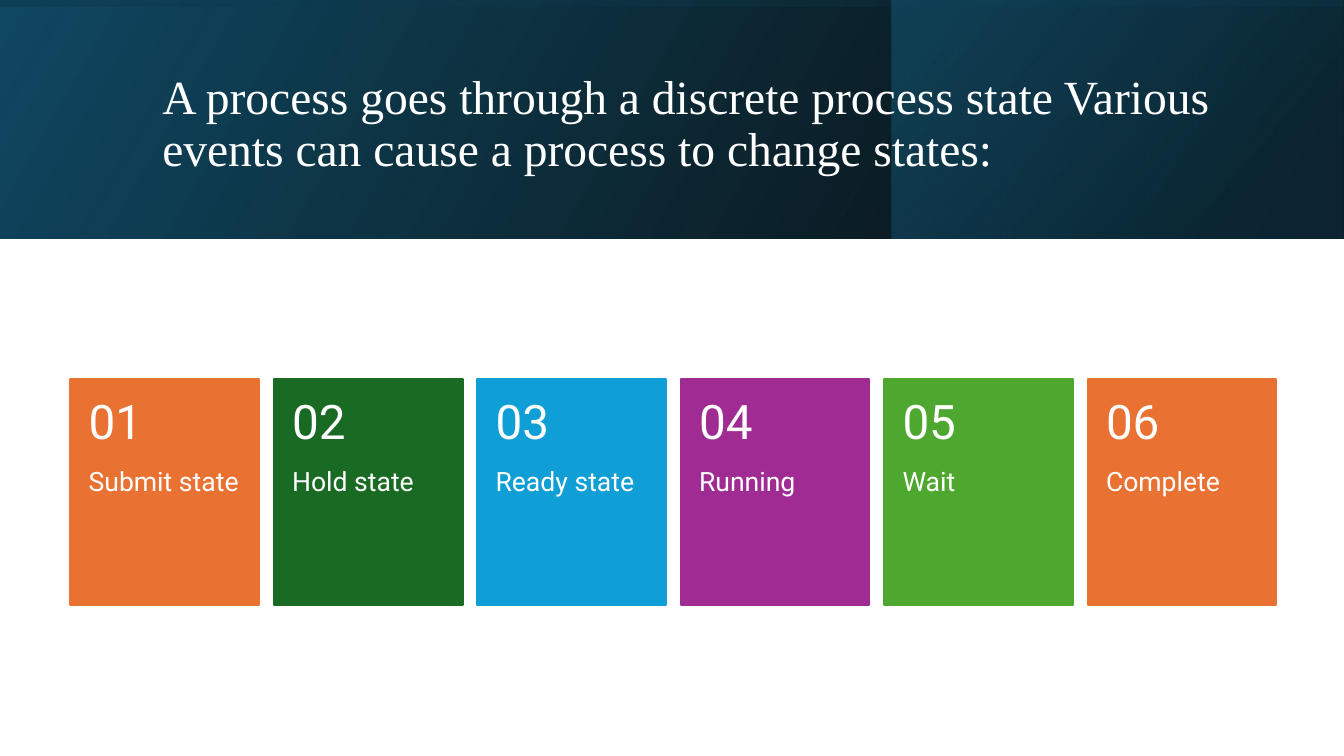
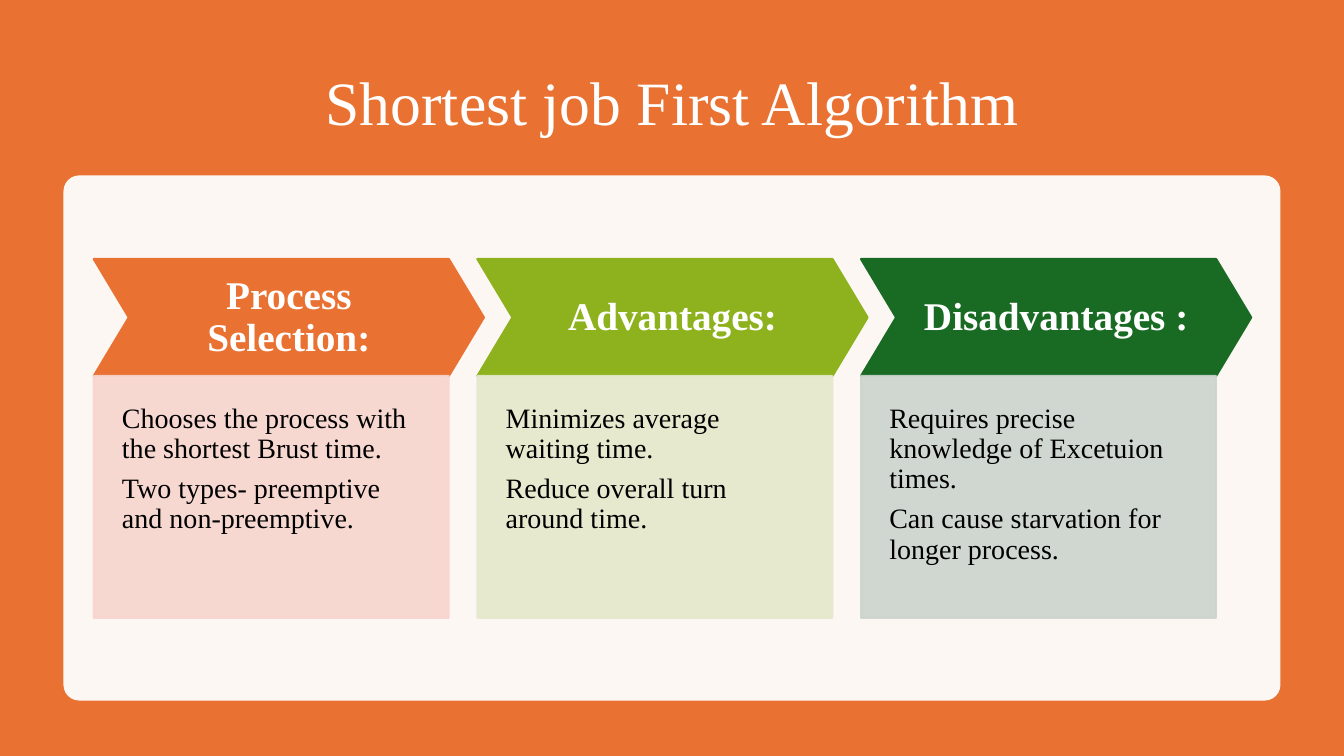
from dataclasses import dataclass

from pptx import Presentation
from pptx import util as u
from pptx.dml.color import RGBColor
from pptx.enum import shapes as kinds, text as txt
from pptx.oxml import ns, xmlchemy as xc

PX = 9144  # 100 px to the inch
SLIDE = (0, 0, 1333, 750)


@dataclass(frozen=True)
class Theme:
    serif: str = "Times New Roman"
    sans: str = "Roboto"
    white: str = "FFFFFF"
    black: str = "000000"
    orange: str = "E97132"
    forest: str = "196B24"
    sky: str = "0F9ED5"
    purple: str = "A02B93"
    green: str = "4EA72E"
    lime: str = "8EB21E"
    rose: str = "F7D5CE"
    pale_lime: str = "E5E8CA"
    grey_green: str = "CCD4CD"
    navy: str = "104862"
    deep_blue: str = "0B3041"
    teal: str = "156082"
    title: int = 44
    number: int = 34
    heading: int = 28
    body: int = 20
    label: int = 19
    outline: float = 1.5


T = Theme()

BAND_TITLE = ("A process goes through a discrete process state Various "
              "events can cause a process to change states:")
STATES = [
    ("Submit state", T.orange), ("Hold state", T.forest), ("Ready state", T.sky),
    ("Running", T.purple), ("Wait", T.green), ("Complete", T.orange),
]
ALGORITHM_TITLE = "Shortest job First Algorithm"
ASPECTS = [
    ("Process Selection:", T.orange, T.rose,
     ["Chooses the process with the shortest Brust time.",
      "Two types- preemptive and non-preemptive."]),
    ("Advantages:", T.lime, T.pale_lime,
     ["Minimizes average waiting time.", "Reduce overall turn around time."]),
    ("Disadvantages :", T.forest, T.grey_green,
     ["Requires precise knowledge of Excetuion times.",
      "Can cause starvation for longer process."]),
]


def emu(box):
    return [u.Emu(round(length * PX)) for length in box]


def spread(box, count, width):
    """Left edges of equal-width items that fill the box from side to side."""
    step = (box[2] - width) / (count - 1)
    return [box[0] + i * step for i in range(count)]


def apply(target, values):
    for name, value in values.items():
        setattr(target, name, value)


def set_opacity(shape, percents):
    """Give the shape's colours, in file order, these opacities."""
    colours = shape._element.spPr.iter(ns.qn("a:srgbClr"))
    for colour, percent in zip(list(colours), percents):
        alpha = xc.OxmlElement("a:alpha")
        alpha.set("val", str(percent * 1000))
        colour.append(alpha)


def add_block(slide, box, fill, kind="RECTANGLE", outlined=False, adjust=None,
              opacity=None):
    block = slide.shapes.add_shape(kinds.MSO_SHAPE[kind], *emu(box))
    block.shadow.inherit = False
    block.fill.solid()
    block.fill.fore_color.rgb = RGBColor.from_string(fill)
    if outlined:
        block.line.color.rgb = RGBColor.from_string(fill)
        block.line.width = u.Pt(T.outline)
    else:
        block.line.fill.background()
    if adjust is not None:
        block.adjustments[0] = adjust
    if opacity is not None:
        set_opacity(block, [opacity] * 2)
    return block


def add_gradient(slide, box, stops, angle, rotation=0):
    """Mirrored gradient block; stops are (position, colour, opacity)."""
    block = add_block(slide, box, T.navy)
    block.fill.gradient()
    block.fill.gradient_angle = angle
    for stop, (position, colour, _) in zip(block.fill.gradient_stops, stops):
        stop.position = position / 100
        stop.color.rgb = RGBColor.from_string(colour)
    set_opacity(block, [opacity for _, _, opacity in stops])
    block._element.spPr.xfrm.set("flipH", "1")
    block.rotation = rotation


def write(shape, lines, size, color=T.white, face=T.serif, bold=False,
          align="LEFT", anchor="TOP", insets=(10, 5, 10, 5), after=0.35):
    frame = shape.text_frame
    sides = ("margin_left", "margin_top", "margin_right", "margin_bottom")
    apply(frame, dict(zip(sides, emu(insets)), word_wrap=True,
                      auto_size=txt.MSO_AUTO_SIZE.NONE,
                      vertical_anchor=txt.MSO_ANCHOR[anchor]))
    for i, line in enumerate(lines):
        paragraph = frame.add_paragraph() if i else frame.paragraphs[0]
        apply(paragraph, dict(alignment=txt.PP_ALIGN[align], line_spacing=0.9,
                              space_before=u.Pt(0), space_after=u.Pt(size * after)))
        run = paragraph.add_run()
        run.text = line
        apply(run.font, dict(name=face, size=u.Pt(size), bold=bold))
        run.font.color.rgb = RGBColor.from_string(color)


def add_label(slide, box, line, size, **style):
    write(slide.shapes.add_textbox(*emu(box)), [line], size, **style)


def place_title(slide, box, line, size, align="LEFT"):
    """Move the title placeholder to the box, in front of the background."""
    title = slide.shapes.title
    apply(title, dict(zip(("left", "top", "width", "height"), emu(box))))
    write(title, [line], size, align=align, anchor="MIDDLE", after=0)
    slide.shapes._spTree.append(title._element)


def title_band(slide, box):
    left, top, width, height = box
    add_gradient(slide, box, [(0, T.black, 96), (100, T.navy, 100)], 30)
    add_gradient(slide, (left + 884, top, 448, height),
                 [(19, T.deep_blue, 68), (100, T.teal, 48)], 40)
    upright = (left + (width - height) / 2, top - (width - height) / 2, height, width)
    add_gradient(slide, upright, [(23, T.navy, 16), (99, T.black, 45)], 10, rotation=270)
    place_title(slide, (left + 151, top + 38, 1063, 172), BAND_TITLE, T.number)


def state_tile(slide, box, number, name, color):
    left, top, width, height = box
    head = 90
    add_block(slide, box, color, outlined=True)
    add_label(slide, (left, top + head - 1, width, height - head), name, T.label,
              face=T.sans, insets=(18, 0, 18, 36))
    add_label(slide, (left, top, width, head), f"{number:02}", T.number,
              face=T.sans, anchor="MIDDLE", insets=(18,) * 4)


def aspect_column(slide, box, heading, color, tint, points):
    left, top, width, height = box
    head, tip = 116, 35
    add_block(slide, (left, top, width, head), color, "CHEVRON", outlined=True, adjust=0.3)
    add_label(slide, (left + tip, top, width - 2 * tip, head), heading, T.heading,
              bold=True, align="CENTER", anchor="MIDDLE", insets=(14,) * 4)
    body = add_block(slide, (left, top + head, width - tip, height - head), tint,
                     outlined=True, opacity=90)
    write(body, points, T.body, color=T.black, insets=(28, 28, 28, 56))


def states_slide(slide):
    title_band(slide, (0, 0, 1333, 237))
    row, width = (70, 376, 1196, 224), 187
    lefts = spread(row, len(STATES), width)
    for number, (left, state) in enumerate(zip(lefts, STATES), 1):
        state_tile(slide, (left, row[1], width, row[3]), number, *state)


def algorithm_slide(slide):
    add_block(slide, SLIDE, T.orange)
    place_title(slide, (92, 50, 1150, 110), ALGORITHM_TITLE, T.title, align="CENTER")
    add_block(slide, (63, 174, 1207, 521), T.white, "ROUNDED_RECTANGLE",
              adjust=0.03, opacity=95)
    row, width = (93, 257, 1148, 356), 387
    for left, aspect in zip(spread(row, len(ASPECTS), width), ASPECTS):
        aspect_column(slide, (left, row[1], width, row[3]), *aspect)


def main():
    deck = Presentation()
    deck.slide_width, deck.slide_height = emu(SLIDE[2:])
    title_only = deck.slide_layouts[5]
    for build in (states_slide, algorithm_slide):
        build(deck.slides.add_slide(title_only))
    deck.save("out.pptx")


if __name__ == "__main__":
    main()
